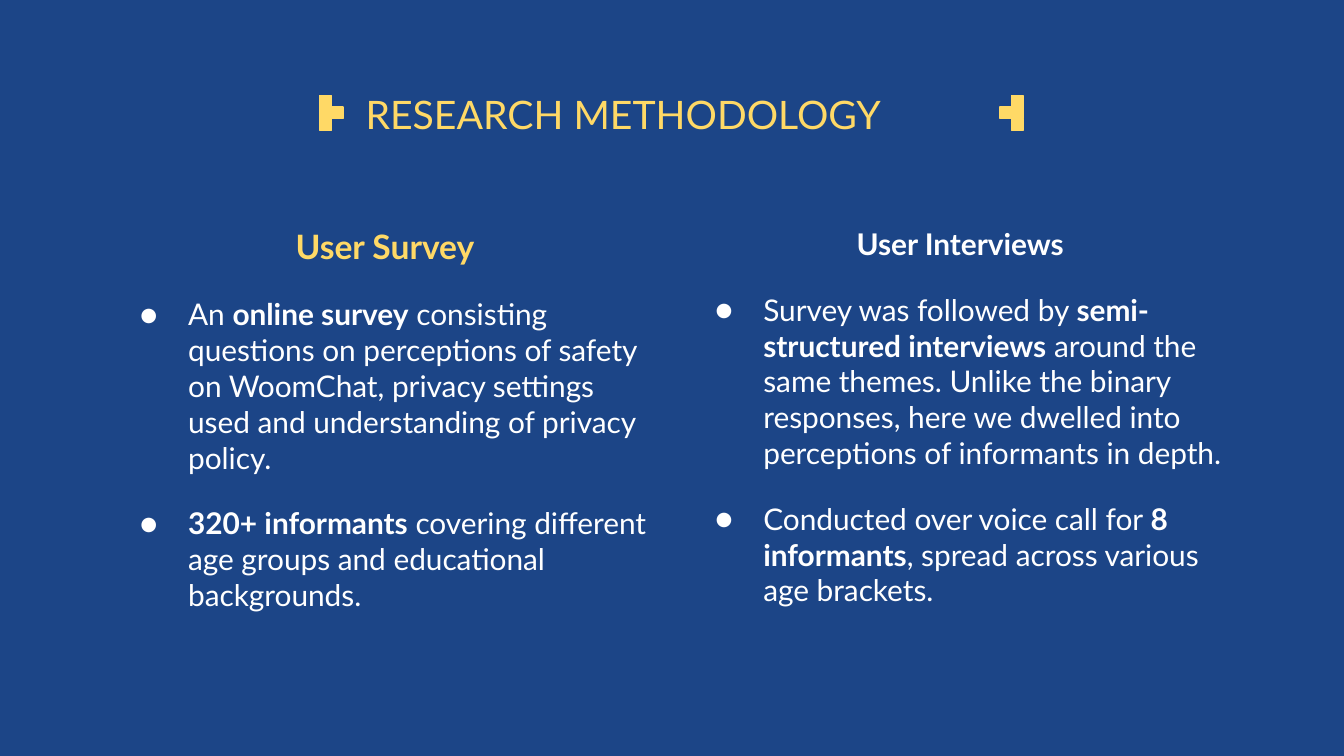
"""Build the research methodology slide with its survey and interview columns."""
from dataclasses import dataclass

import lxml.etree
import pptx
import pptx.dml.color
import pptx.enum.shapes
import pptx.enum.text
import pptx.oxml.ns
import pptx.util
from pptx.util import Inches

NAVY = pptx.dml.color.RGBColor(0x1C, 0x45, 0x87)
YELLOW = pptx.dml.color.RGBColor(0xFF, 0xD9, 0x66)
WHITE = pptx.dml.color.RGBColor(0xFF, 0xFF, 0xFF)
FONT = "Lato"
CELL = 0.26 / 3
MARK_TOP = 0.71
ALIGN = pptx.enum.text.PP_ALIGN


@dataclass
class Column:
    left: float
    heading: str
    heading_size: int
    heading_color: pptx.dml.color.RGBColor
    points: list[list[tuple[str, bool]]]


@dataclass
class Bracket:
    left: float
    cells: list[tuple[int, int]]


COLUMNS = [
    Column(0.8, "User Survey", 18, YELLOW, [
        [("An ", False), ("online survey", True),
         (" consisting questions on perceptions of safety on WoomChat, privacy settings "
          "used and understanding of privacy policy.", False)],
        [("320+ informants", True),
         (" covering different age groups and educational backgrounds.", False)],
    ]),
    Column(5.08, "User Interviews", 16, WHITE, [
        [("Survey was followed by ", False), ("semi-structured interviews", True),
         (" around the same themes. Unlike the binary responses, here we dwelled into "
          "perceptions of informants in depth.", False)],
        [("Conducted over voice call for ", False), ("8 informants", True),
         (", spread across various age brackets.", False)],
    ]),
]
BRACKETS = [
    Bracket(2.38, [(0, 0), (0, 1), (0, 2), (1, 1)]),
    Bracket(7.44, [(1, 0), (1, 1), (1, 2), (0, 1)]),
]


def add_text(paragraph, text: str, *, size: int = 16, color=WHITE, bold: bool = False) -> None:
    run = paragraph.add_run()
    run.text = text
    run.font.name = FONT
    run.font.size = pptx.util.Pt(size)
    run.font.bold = bold
    run.font.color.rgb = color


def set_bullet(paragraph, char: str | None = None) -> None:
    qn = pptx.oxml.ns.qn
    properties = paragraph._p.get_or_add_pPr()
    properties.set("marL", str(Inches(0.5) if char else 0))
    properties.set("indent", str(Inches(-0.36) if char else 0))
    if char is None:
        lxml.etree.SubElement(properties, qn("a:buNone"))
        return
    bullet_color = lxml.etree.SubElement(properties, qn("a:buClr"))
    lxml.etree.SubElement(bullet_color, qn("a:srgbClr"), val=str(WHITE))
    lxml.etree.SubElement(properties, qn("a:buFont"), typeface=FONT)
    lxml.etree.SubElement(properties, qn("a:buChar"), char=char)


def place(placeholder, left: float, top: float, width: float, height: float, anchor):
    placeholder.left, placeholder.top = Inches(left), Inches(top)
    placeholder.width, placeholder.height = Inches(width), Inches(height)
    frame = placeholder.text_frame
    frame.margin_left = frame.margin_right = Inches(0.1)
    frame.margin_top = frame.margin_bottom = Inches(0.1)
    frame.word_wrap = True
    frame.auto_size = pptx.enum.text.MSO_AUTO_SIZE.NONE
    frame.vertical_anchor = anchor
    return frame


def fill_column(placeholder, column: Column) -> None:
    frame = place(placeholder, column.left, 1.58, 4.13, 2.47, pptx.enum.text.MSO_ANCHOR.TOP)
    heading = frame.paragraphs[0]
    set_bullet(heading)
    heading.alignment = ALIGN.CENTER
    heading.space_before = pptx.util.Pt(0)
    add_text(heading, column.heading, size=column.heading_size,
             color=column.heading_color, bold=True)
    for point in column.points:
        paragraph = frame.add_paragraph()
        set_bullet(paragraph, "●")
        paragraph.alignment = ALIGN.LEFT
        paragraph.space_before = pptx.util.Pt(16)
        for text, bold in point:
            add_text(paragraph, text, bold=bold)
    paragraph.space_after = pptx.util.Pt(16)


def draw_bracket(slide, bracket: Bracket) -> None:
    group = slide.shapes.add_group_shape()
    for column, row in bracket.cells:
        square = group.shapes.add_shape(
            pptx.enum.shapes.MSO_SHAPE.RECTANGLE,
            Inches(bracket.left + column * CELL), Inches(MARK_TOP + row * CELL),
            Inches(CELL), Inches(CELL))
        square.shadow.inherit = False
        square.fill.solid()
        square.fill.fore_color.rgb = YELLOW
        square.line.color.rgb = YELLOW
        square.line.width = pptx.util.Pt(0.75)


def main() -> None:
    deck = pptx.Presentation()
    deck.slide_width = Inches(10)
    deck.slide_height = deck.slide_width * 9 // 16
    slide = deck.slides.add_slide(deck.slide_layouts.get_by_name("Two Content"))
    slide.background.fill.solid()
    slide.background.fill.fore_color.rgb = NAVY

    title, *bodies = slide.placeholders
    title_frame = place(title, 2.62, 0.53, 4.92, 0.59, pptx.enum.text.MSO_ANCHOR.BOTTOM)
    title_frame.paragraphs[0].alignment = ALIGN.LEFT
    add_text(title_frame.paragraphs[0], "RESEARCH METHODOLOGY", size=21, color=YELLOW)

    for body, column in zip(bodies, COLUMNS):
        fill_column(body, column)
    for bracket in BRACKETS:
        draw_bracket(slide, bracket)
    deck.save("out.pptx")


if __name__ == "__main__":
    main()
